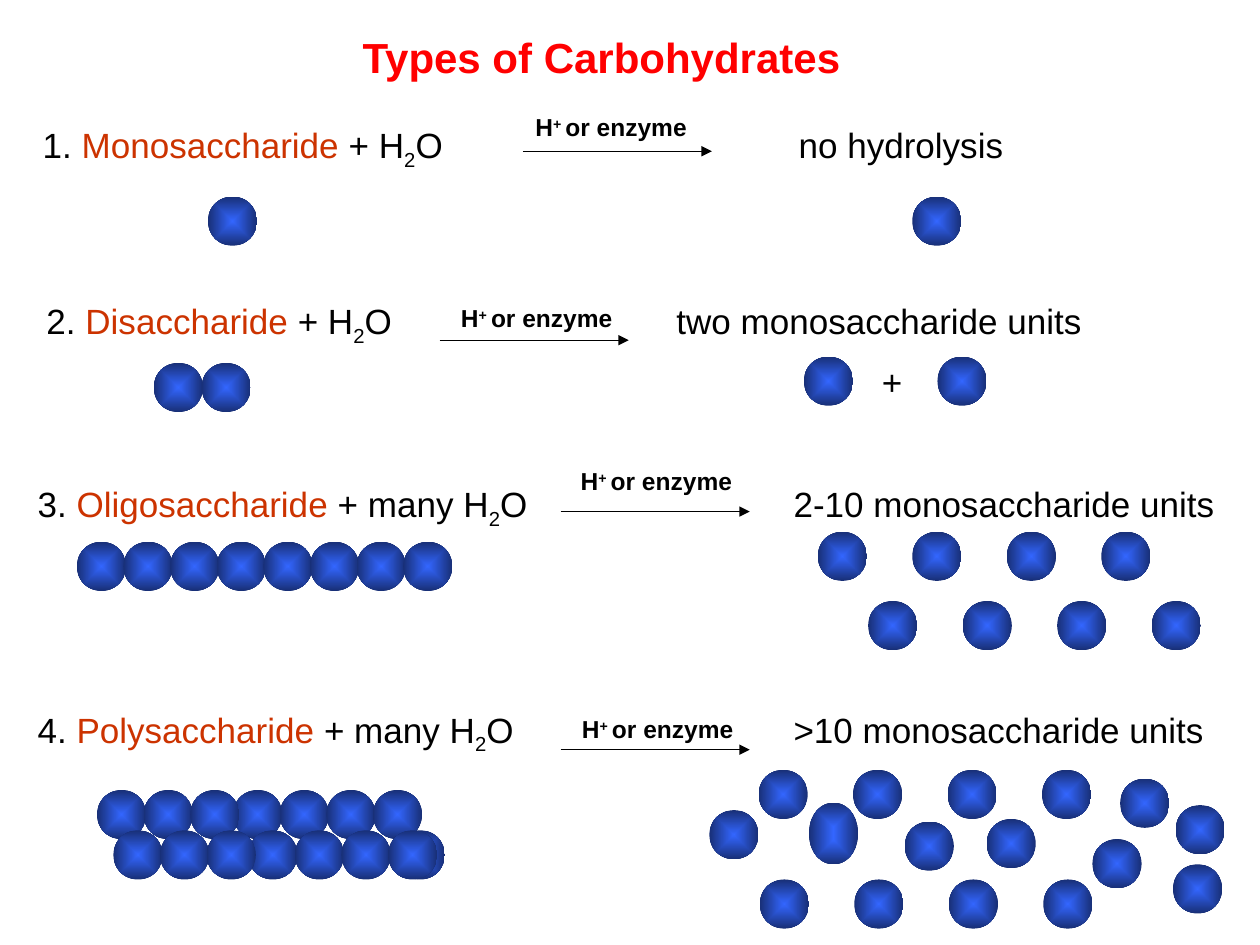
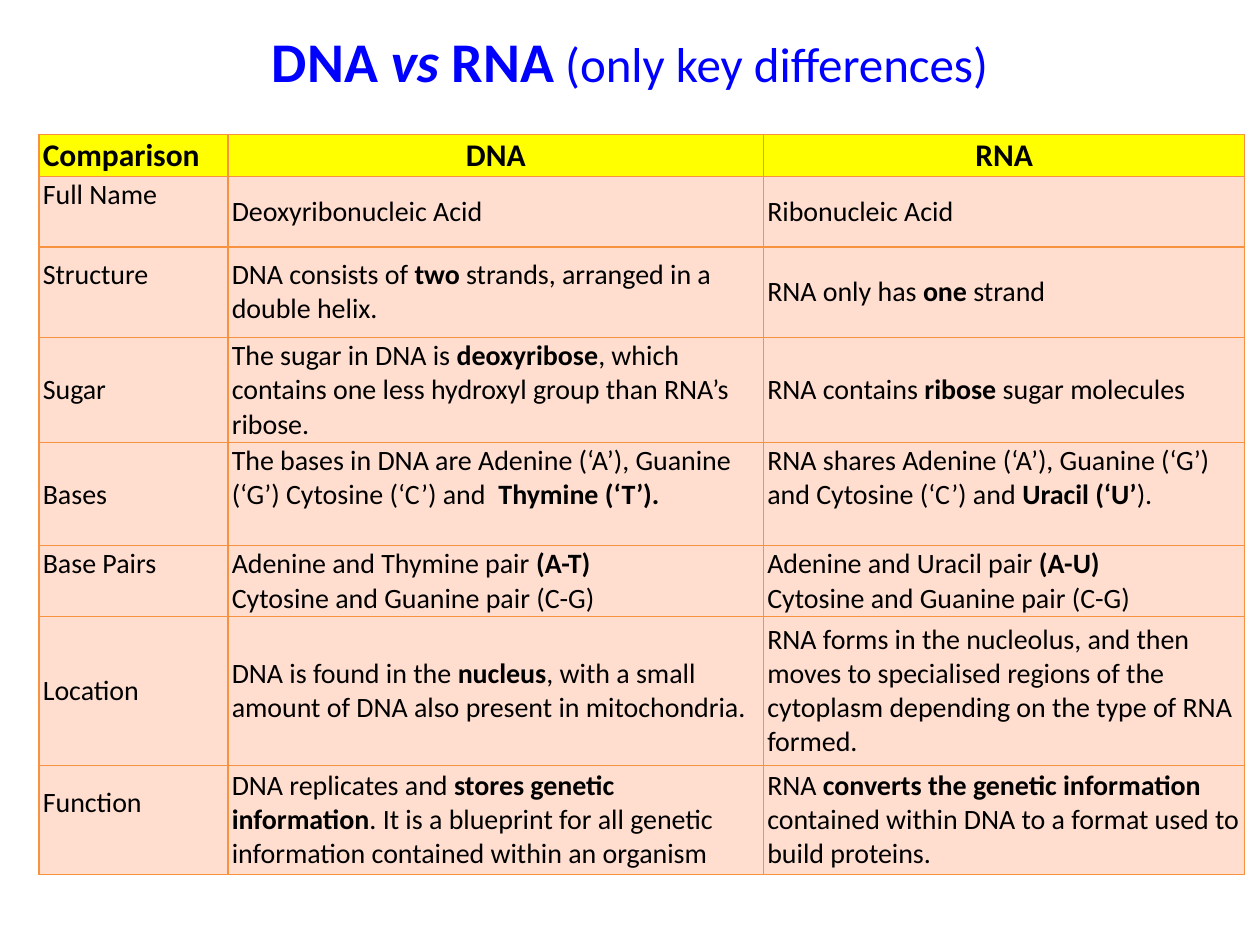
from dataclasses import dataclass

from lxml import etree
from pptx import Presentation
from pptx.dml.color import RGBColor
from pptx.enum.shapes import MSO_CONNECTOR, MSO_SHAPE
from pptx.enum.text import MSO_ANCHOR, PP_ALIGN
from pptx.oxml import parse_xml
from pptx.oxml.ns import nsdecls, qn
from pptx.util import Emu, Inches, Pt

STRAIGHT = MSO_CONNECTOR.STRAIGHT
OVAL = MSO_SHAPE.OVAL
TOP, MIDDLE = MSO_ANCHOR.TOP, MSO_ANCHOR.MIDDLE
LEFT, CENTER = PP_ALIGN.LEFT, PP_ALIGN.CENTER


@dataclass(frozen=True)
class Theme:
    """Colours, fonts and sizes shared by the slides."""
    ink: str = "000000"
    red: str = "FF0000"
    blue: str = "0000FF"
    sugar: str = "CC3300"
    bead_light: str = "3366FF"
    bead_dark: str = "182F76"
    head_fill: str = "FFFF00"
    body_fill: str = "FFDED0"
    border: str = "F69240"
    diagram_font: str = "Arial"
    table_font: str = "Calibri"
    diagram_title: int = 24
    equation: int = 20
    label: int = 14
    table_title: int = 32
    table_subtitle: int = 28
    table_head: int = 18
    table_body: int = 16
    line: float = 0.75
    bead: float = 0.39


T = Theme()

REACTIONS = [
    dict(at=(0.24, 0.93), width=8.15, number="1. ", sugar="Monosaccharide",
         water=" + H", product="no hydrolysis", tab=6,
         arrow=(3.91, 0.27), label=(3.91, -0.09),
         beads=[(1.41, 0.63, 1, 0), (7, 0.63, 1, 0)]),
    dict(at=(0.27, 2.33), width=8.51, number="2. ", sugar="Disaccharide",
         water=" + H", product="two monosaccharide units", tab=5,
         arrow=(3.22, 0.37), label=(3.29, 0.03), plus=(6.63, 0.48),
         beads=[(0.95, 0.55, 2, 0.38), (6.11, 0.5, 2, 1.06)]),
    dict(at=(0.2, 3.78), width=9.73, number="3. ", sugar="Oligosaccharide",
         water=" + many H", product="2-10 monosaccharide units", tab=6,
         arrow=(4.25, 0.28), label=(4.31, -0.13),
         beads=[(0.41, 0.52, 8, 0.37), (6.29, 0.44, 4, 0.75),
                (6.69, 0.99, 4, 0.75)]),
    dict(at=(0.2, 5.57), width=9.73, number="4. ", sugar="Polysaccharide",
         water=" + many H", product=">10 monosaccharide units", tab=6,
         arrow=(4.25, 0.38), label=(4.32, 0.05), tall=(6.22, 0.8),
         beads=[(1.65, 0.7, 4, 0.37), (0.57, 0.7, 3, 0.37),
                (2.94, 1.02, 1, 0), (1.77, 1.02, 4, 0.37),
                (0.7, 1.02, 3, 0.37), (5.82, 0.54, 4, 0.75),
                (5.83, 1.41, 4, 0.75), (7.63, 0.93, 1, 0),
                (6.98, 0.95, 1, 0), (8.47, 1.09, 1, 0), (9.13, 0.82, 1, 0),
                (8.69, 0.61, 1, 0), (9.11, 1.29, 1, 0),
                (5.43, 0.86, 1, 0)]),
]

COLUMNS = [1.5, 4.25, 3.82]
ROW_HEIGHTS = [0.33, 0.56, 0.72, 0.83, 0.82, 0.56, 1.18, 0.87]
COMPARISON = [
    ["*Comparison*", "*DNA*", "*RNA*"],
    ["Full Name", "Deoxyribonucleic Acid", "Ribonucleic Acid"],
    ["Structure",
     "DNA consists of *two* strands, arranged in a double helix.",
     "RNA only has *one* strand"],
    ["Sugar",
     "The sugar in DNA is *deoxyribose*, which contains one less hydroxyl "
     "group than RNA’s ribose.",
     "RNA contains *ribose* sugar molecules"],
    ["Bases",
     "The bases in DNA are Adenine (‘A’), Guanine (‘G’) Cytosine (‘C’) and  "
     "*Thymine (‘T’).*",
     "RNA shares Adenine (‘A’), Guanine (‘G’) and Cytosine (‘C’) and "
     "*Uracil (‘U’*)."],
    ["Base Pairs",
     "Adenine and Thymine pair *(A-T)*\nCytosine and Guanine pair (C-G)",
     "Adenine and Uracil pair *(A-U)*\nCytosine and Guanine pair (C-G)"],
    ["Location",
     "DNA is found in the *nucleus*, with a small amount of DNA also present "
     "in mitochondria.",
     "RNA forms in the nucleolus, and then moves to specialised regions of "
     "the cytoplasm depending on the type of RNA formed."],
    ["Function",
     "DNA replicates and *stores genetic information*. It is a blueprint for "
     "all genetic information contained within an organism",
     "RNA *converts the genetic information *contained within DNA to a "
     "format used to build proteins."],
]
RAISED_CELLS = {(1, 0), (2, 0), (4, 2), (5, 0), (7, 0)}
LOWERED_CELLS = {(4, 0)}
TOP_CELLS = {(4, 0), (4, 1)}
CELL_PAD, LINE_PAD = 0.01, 0.28


def rgb(value):
    """Turn a hex string into a colour."""
    return RGBColor.from_string(value)


def style(p, font, size, color=T.ink, bold=False):
    """Set the font that all runs of a paragraph share."""
    p.font.name, p.font.size, p.font.bold = font, Pt(size), bold
    p.font.color.rgb = rgb(color)


def add_run(p, text, color=None, baseline=None, size=None, **flags):
    """Append a run with only the traits that differ from its paragraph."""
    r = p.add_run()
    r.text = text
    if color:
        r.font.color.rgb = rgb(color)
    if size:
        r.font.size = Pt(size)
    if baseline:
        r._r.get_or_add_rPr().set("baseline", str(baseline * 1000))
    for name, value in flags.items():
        setattr(r.font, name, value)


def add_text(s, x, y, w, h, wrap=True):
    """Add a text box and return its first paragraph."""
    tf = s.shapes.add_textbox(Inches(x), Inches(y), Inches(w), Inches(h)).text_frame
    tf.word_wrap = wrap
    return tf.paragraphs[0]


def add_bead(s, x, y, height=T.bead):
    """Draw one sugar unit with a gradient spreading from its centre."""
    sp = s.shapes.add_shape(OVAL, Inches(x), Inches(y), Inches(T.bead), Inches(height))
    sp.shadow.inherit = False
    sp.line.fill.background()
    sp._element.spPr.find(qn("a:prstGeom")).addnext(parse_xml(
        f'<a:gradFill {nsdecls("a")} rotWithShape="1"><a:gsLst>'
        f'<a:gs pos="0"><a:srgbClr val="{T.bead_light}"/></a:gs>'
        f'<a:gs pos="100000"><a:srgbClr val="{T.bead_dark}"/></a:gs></a:gsLst>'
        '<a:path path="shape"><a:fillToRect l="50000" t="50000" r="50000" '
        'b="50000"/></a:path></a:gradFill>'))


def add_arrow(s, x, y, length=1.5):
    """Draw a horizontal reaction arrow."""
    line = s.shapes.add_connector(STRAIGHT, Inches(x), Inches(y),
                                  Inches(x + length), Inches(y))
    line.line.color.rgb = rgb(T.ink)
    line.line.width = Pt(T.line)
    etree.SubElement(line.line._get_or_add_ln(), qn("a:tailEnd"), type="triangle")
    etree.SubElement(line._element.spPr, qn("a:effectLst"))


def add_equation(s, x, y, reaction):
    """Write a reaction with its product at a tab stop."""
    p = add_text(s, x, y, reaction["width"], 0.43)
    tabs = etree.SubElement(p._p.get_or_add_pPr(), qn("a:tabLst"))
    etree.SubElement(tabs, qn("a:tab"), pos=str(Inches(reaction["tab"])), algn="l")
    style(p, T.diagram_font, T.equation)
    add_run(p, reaction["number"])
    add_run(p, reaction["sugar"], T.sugar)
    add_run(p, reaction["water"])
    add_run(p, "2", baseline=-25)
    add_run(p, "O\t" + reaction["product"])


def add_condition(s, x, y):
    """Write the condition above a reaction arrow."""
    p = add_text(s, x, y, 1.41, 0.33, wrap=False)
    style(p, T.diagram_font, T.label, bold=True)
    add_run(p, "H")
    add_run(p, "+ ", baseline=30)
    add_run(p, "or enzyme")


def add_reaction(s, reaction):
    """Place one reaction and its sugar units from its top left corner."""
    x, y = reaction["at"]
    add_equation(s, x, y, reaction)
    dx, dy = reaction["arrow"]
    add_arrow(s, x + dx, y + dy)
    dx, dy = reaction["label"]
    add_condition(s, x + dx, y + dy)
    for dx, dy, count, pitch in reaction["beads"]:
        for i in range(count):
            add_bead(s, x + dx + i * pitch, y + dy)
    if "tall" in reaction:
        dx, dy = reaction["tall"]
        add_bead(s, x + dx, y + dy, 0.49)
    if "plus" in reaction:
        dx, dy = reaction["plus"]
        p = add_text(s, x + dx, y + dy, 0.36, 0.43, wrap=False)
        style(p, T.diagram_font, T.equation)
        add_run(p, "+")


def add_borders(cell):
    """Draw the four borders of a cell."""
    tcPr = cell._tc.get_or_add_tcPr()
    for side in "LRTB":
        tcPr.append(parse_xml(
            f'<a:ln{side} {nsdecls("a")} w="{Pt(T.line)}"><a:solidFill>'
            f'<a:srgbClr val="{T.border}"/></a:solidFill></a:ln{side}>'))


def fill_cell(cell, text, row, col):
    """Fill a cell, with the words between asterisks in bold."""
    head = row == 0
    add_borders(cell)
    cell.fill.solid()
    cell.fill.fore_color.rgb = rgb(T.head_fill if head else T.body_fill)
    cell.margin_left = cell.margin_right = Inches(0.03)
    cell.margin_top = Inches(LINE_PAD if (row, col) in LOWERED_CELLS else CELL_PAD)
    cell.margin_bottom = Inches(LINE_PAD if (row, col) in RAISED_CELLS else CELL_PAD)
    cell.vertical_anchor = TOP if (row, col) in TOP_CELLS else MIDDLE
    tf = cell.text_frame
    for i, line in enumerate(text.split("\n")):
        p = tf.add_paragraph() if i else tf.paragraphs[0]
        p.alignment = CENTER if head and col else LEFT
        style(p, T.table_font, T.table_head if head else T.table_body)
        for j, part in enumerate(line.split("*")):
            if part:
                add_run(p, part, bold=j % 2 == 1)


def add_comparison(s, x, y):
    """Build the comparison table at the given corner."""
    frame = s.shapes.add_table(len(COMPARISON), len(COLUMNS), Inches(x), Inches(y),
                               Inches(sum(COLUMNS)), Inches(sum(ROW_HEIGHTS)))
    table = frame.table
    table.first_row = table.horz_banding = False
    for column, width in zip(table.columns, COLUMNS):
        column.width = Inches(width)
    for row, height in zip(table.rows, ROW_HEIGHTS):
        row.height = Emu(Inches(height))
    for i, texts in enumerate(COMPARISON):
        for j, text in enumerate(texts):
            fill_cell(table.cell(i, j), text, i, j)


def carbohydrate_slide(s):
    """Build the slide of hydrolysis reactions."""
    p = add_text(s, 2.78, 0.2, 4.03, 0.5, wrap=False)
    style(p, T.diagram_font, T.diagram_title, T.red, bold=True)
    add_run(p, "Types of Carbohydrates")
    for reaction in REACTIONS:
        add_reaction(s, reaction)


def nucleic_acid_slide(s):
    """Build the slide that compares DNA and RNA."""
    p = add_text(s, 0, 0.16, 10, 0.64)
    p.alignment = CENTER
    style(p, T.table_font, T.table_title, T.blue, bold=True)
    add_run(p, "DNA ")
    add_run(p, "vs", italic=True)
    add_run(p, " RNA")
    add_run(p, " (only key differences)", size=T.table_subtitle, bold=False)
    add_comparison(s, 0.31, 1.07)


def main():
    """Build and save the presentation."""
    prs = Presentation()
    prs.slide_width, prs.slide_height = Inches(10), Inches(7.5)
    for build in (carbohydrate_slide, nucleic_acid_slide):
        build(prs.slides.add_slide(prs.slide_layouts[6]))
    prs.save("out.pptx")


if __name__ == "__main__":
    main()
